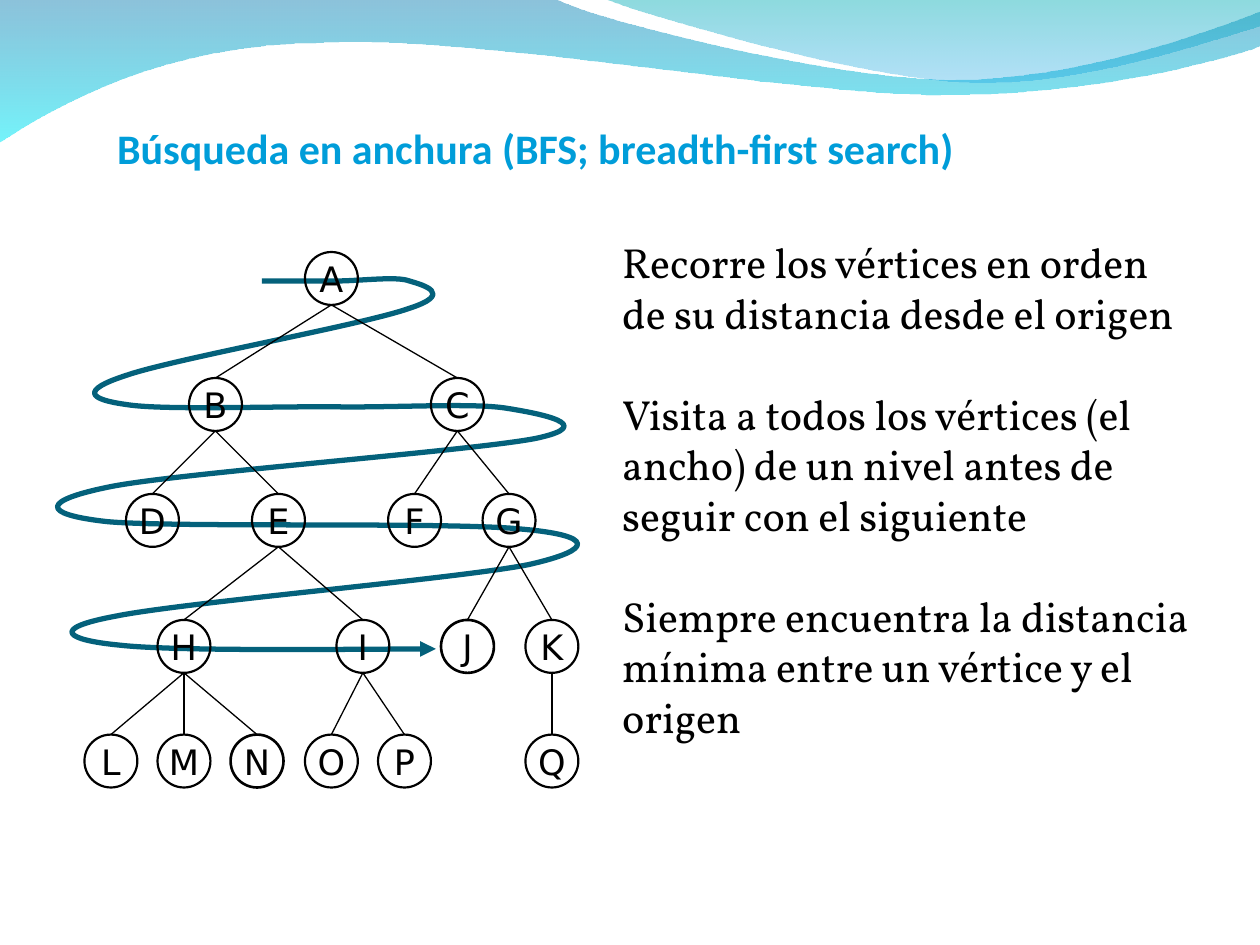
from dataclasses import dataclass

from lxml import etree
from pptx import Presentation
from pptx.dml.color import RGBColor
from pptx.enum.shapes import MSO_CONNECTOR as CONN, MSO_SHAPE as SHAPE
from pptx.enum.text import MSO_ANCHOR as ANCHOR, MSO_AUTO_SIZE as AUTO, PP_ALIGN as ALIGN
from pptx.oxml.ns import qn
from pptx.util import Inches, Pt


@dataclass(frozen=True)
class Theme:
    title: str = "009DD9"
    ink: str = "000000"
    route: str = "04617B"
    # Gradient stops: colour and opacity in percent
    wide_wave: tuple = (("0079AF", 45), ("00EBF8", 55))
    right_wave: tuple = (("00ADB6", 45), ("009BE5", 30))
    title_font: str = "Calibri"
    body_font: str = "Vollkorn"
    node_font: str = "DejaVu Sans"
    text_size: int = 24
    node_size: int = 20
    paragraph_gap: int = 29


THEME = Theme()

# Outlines: a start point, then segments of one point (line) or three (curve)
WIDE_WAVE = [
    [(0, 0)], [(4.4, 0)],
    [(4.76, 0.18), (6.64, 0.64), (7.58, 0.64)], [(8.53, 0.64), (9.58, 0.27), (10, 0.1)],
    [(10.01, 0.37)],
    [(9.83, 0.45), (8.7, 0.77), (7.46, 0.76)], [(6.22, 0.76), (3.82, 0.29), (2.57, 0.35)],
    [(1.29, 0.36), (0.46, 0.84), (-0.01, 1.14)],
]
RIGHT_WAVE = [
    [(4.79, 0)],
    [(5.09, 0.12), (6.82, 0.63), (7.69, 0.66)], [(8.56, 0.7), (9.61, 0.33), (10, 0.22)],
    [(10, 0.01)],
]
ROUTE = [
    [(1.78, 0.23)],
    [(1.88, 0.23), (2.17, 0.23), (2.37, 0.23)], [(2.56, 0.23), (2.85, 0.19), (2.95, 0.23)],
    [(3.05, 0.26), (3.32, 0.33), (2.94, 0.45)], [(2.57, 0.58), (1.07, 0.85), (0.7, 0.98)],
    [(0.33, 1.1), (0.41, 1.17), (0.7, 1.21)], [(0.99, 1.26), (1.95, 1.22), (2.45, 1.23)],
    [(2.95, 1.23), (3.47, 1.2), (3.72, 1.24)], [(3.97, 1.28), (4.47, 1.37), (3.95, 1.48)],
    [(3.43, 1.58), (1.16, 1.75), (0.59, 1.86)], [(0.03, 1.97), (0.01, 2.08), (0.55, 2.14)],
    [(1.09, 2.19), (3.29, 2.14), (3.85, 2.2)], [(4.41, 2.25), (4.43, 2.36), (3.9, 2.48)],
    [(3.36, 2.59), (1.16, 2.78), (0.62, 2.89)], [(0.08, 2.99), (0.23, 3.08), (0.65, 3.12)],
    [(1.08, 3.17), (2.64, 3.15), (3.16, 3.15)],
]

# Tree levels: top of the level and the centre of each node
LEVELS = [
    (0, {"A": 2.33}),
    (1, {"B": 1.41, "C": 3.33}),
    (1.92, {"D": 0.91, "E": 1.91, "F": 2.99, "G": 3.74}),
    (2.92, {"H": 1.16, "I": 2.58, "J": 3.41, "K": 4.08}),
    (3.83, {"L": 0.58, "M": 1.16, "N": 1.74, "O": 2.33, "P": 2.91, "Q": 4.08}),
]
CHILDREN = {"A": "BC", "B": "DE", "C": "FG", "E": "HI", "G": "JK",
            "H": "LMN", "I": "OP", "K": "Q"}
HEAVY_NODES = "JN"
NODE = 0.42

PARAGRAPHS = [
    "Recorre los vértices en orden de su distancia desde el origen",
    "Visita a todos los vértices (el ancho) de un nivel antes de seguir con el siguiente",
    "Siempre encuentra la distancia mínima entre un vértice y el origen",
]


def style_text(p, font, size, color, bold=False):
    for r in p.runs:
        r.font.name, r.font.size, r.font.bold = font, Pt(size), bold
        r.font.color.rgb = RGBColor.from_string(color)


def style_line(line, color, width):
    line.color.rgb = RGBColor.from_string(color)
    line.width = Pt(width)


def add_curve(shapes, left, top, segments, close):
    """Draw the points as a freeform, then merge each three into a Bézier curve."""
    points = [(Inches(left + x), Inches(top + y)) for seg in segments for x, y in seg]
    builder = shapes.build_freeform(*points[0], scale=1.0)
    builder.add_line_segments(points[1:], close=close)
    sp = builder.convert_to_shape()
    sp.shadow.inherit = False
    steps = iter(list(sp._element.iter(qn("a:lnTo"))))
    for segment in segments[1:]:
        first, *rest = [next(steps) for _ in segment]
        if rest:
            curve = etree.Element(qn("a:cubicBezTo"))
            first.addprevious(curve)
            for step in (first, *rest):
                curve.append(step[0])
                step.getparent().remove(step)
    return sp


def add_waves(slide, left, top):
    for outline, stops in ((WIDE_WAVE, THEME.wide_wave), (RIGHT_WAVE, THEME.right_wave)):
        sp = add_curve(slide.shapes, left, top, outline, close=True)
        sp.line.fill.background()
        sp.fill.gradient()
        sp.fill.gradient_angle = 270
        for i, (color, _) in enumerate(stops):
            stop = sp.fill.gradient_stops[i]
            stop.position = i
            stop.color.rgb = RGBColor.from_string(color)
        for clr, (_, opacity) in zip(sp._element.spPr.iter(qn("a:srgbClr")), stops):
            etree.SubElement(clr, qn("a:alpha")).set("val", str(opacity * 1000))


def add_title(slide, left, top, width, height):
    title = slide.shapes.title
    title.left, title.top = Inches(left), Inches(top)
    title.width, title.height = Inches(width), Inches(height)
    tf = title.text_frame
    tf.text = "Búsqueda en anchura (BFS; breadth-first search)"
    tf.auto_size, tf.vertical_anchor = AUTO.NONE, ANCHOR.TOP
    p = tf.paragraphs[0]
    p.alignment = ALIGN.LEFT
    style_text(p, THEME.title_font, THEME.text_size, THEME.title, bold=True)


def add_explanation(slide, left, top, width, height):
    box = slide.shapes.add_textbox(Inches(left), Inches(top), Inches(width), Inches(height))
    tf = box.text_frame
    tf.word_wrap = True
    for i, text in enumerate(PARAGRAPHS):
        p = tf.add_paragraph() if i else tf.paragraphs[0]
        p.text = text
        p.space_before = Pt(THEME.paragraph_gap if i else 0)
        style_text(p, THEME.body_font, THEME.text_size, THEME.ink)


def add_node(shapes, name, center, top):
    sp = shapes.add_shape(SHAPE.OVAL, Inches(center - NODE / 2), Inches(top),
                          Inches(NODE), Inches(NODE))
    sp.shadow.inherit = False
    sp.fill.background()
    style_line(sp.line, THEME.ink, 1.5 if name in HEAVY_NODES else 1.25)
    tf = sp.text_frame
    tf.text = name
    tf.word_wrap, tf.vertical_anchor = False, ANCHOR.MIDDLE
    tf.paragraphs[0].alignment = ALIGN.CENTER
    style_text(tf.paragraphs[0], THEME.node_font, THEME.node_size, THEME.ink)
    return sp


def add_edge(shapes, parent, child):
    edge = shapes.add_connector(CONN.STRAIGHT,
                                parent.left + parent.width // 2, parent.top + parent.height,
                                child.left + child.width // 2, child.top)
    style_line(edge.line, THEME.ink, 0.75)
    etree.SubElement(edge._element.spPr, qn("a:effectLst"))


def add_tree(slide, left, top):
    # Visiting route, behind the unfilled nodes
    route = add_curve(slide.shapes, left, top, ROUTE, close=False)
    route.fill.background()
    style_line(route.line, THEME.route, 3)
    ln = route._element.spPr.find(qn("a:ln"))
    etree.SubElement(ln, qn("a:tailEnd")).set("type", "triangle")

    # Nodes, level by level
    shapes = slide.shapes.add_group_shape().shapes
    nodes = {name: add_node(shapes, name, left + center, top + level)
             for level, row in LEVELS for name, center in row.items()}

    # Edges from parent to child
    for parent, children in CHILDREN.items():
        for child in children:
            add_edge(shapes, nodes[parent], nodes[child])


def main():
    prs = Presentation()
    prs.slide_width, prs.slide_height = Inches(10), Inches(7.5)
    slide = prs.slides.add_slide(prs.slide_layouts[5])
    add_waves(slide, 0, -0.01)
    add_title(slide, 0.83, 0.92, 8.25, 0.5)
    add_explanation(slide, 4.84, 1.83, 4.74, 4.5)
    add_tree(slide, 0.3, 2)
    prs.save("out.pptx")


if __name__ == "__main__":
    main()
